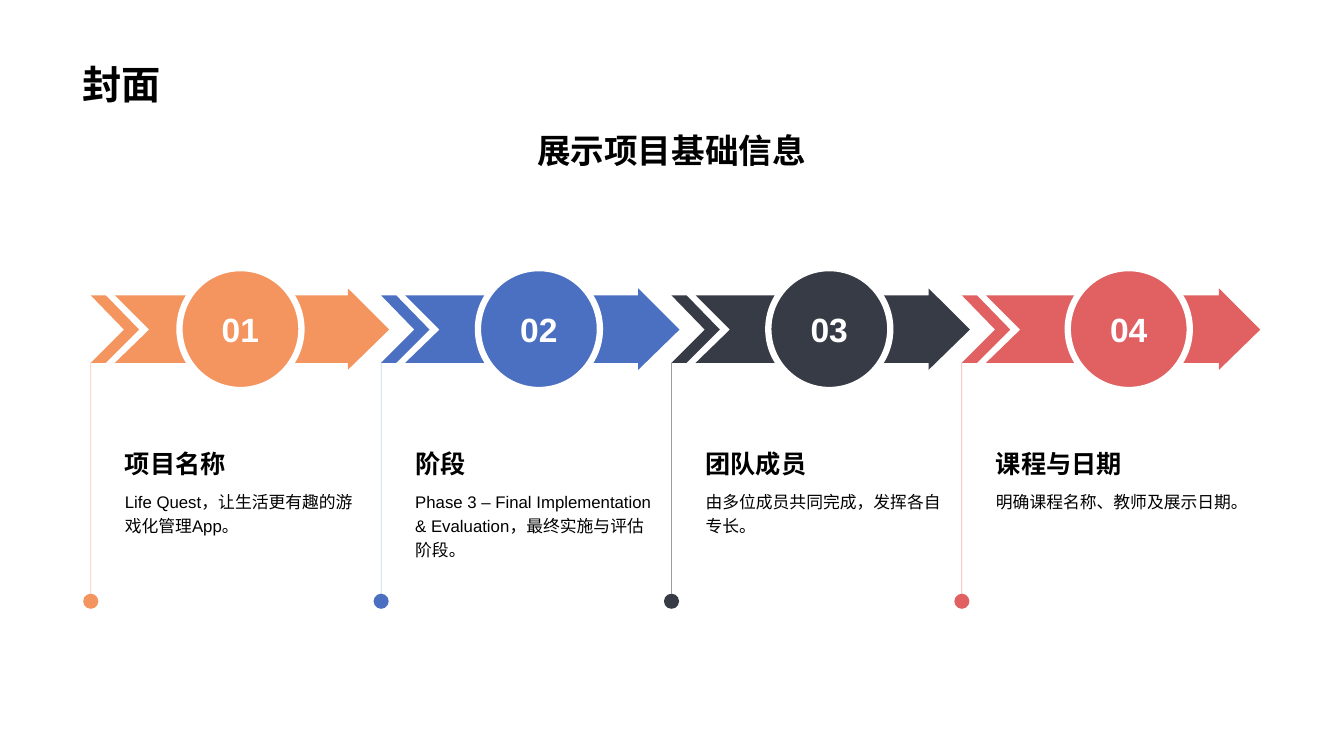
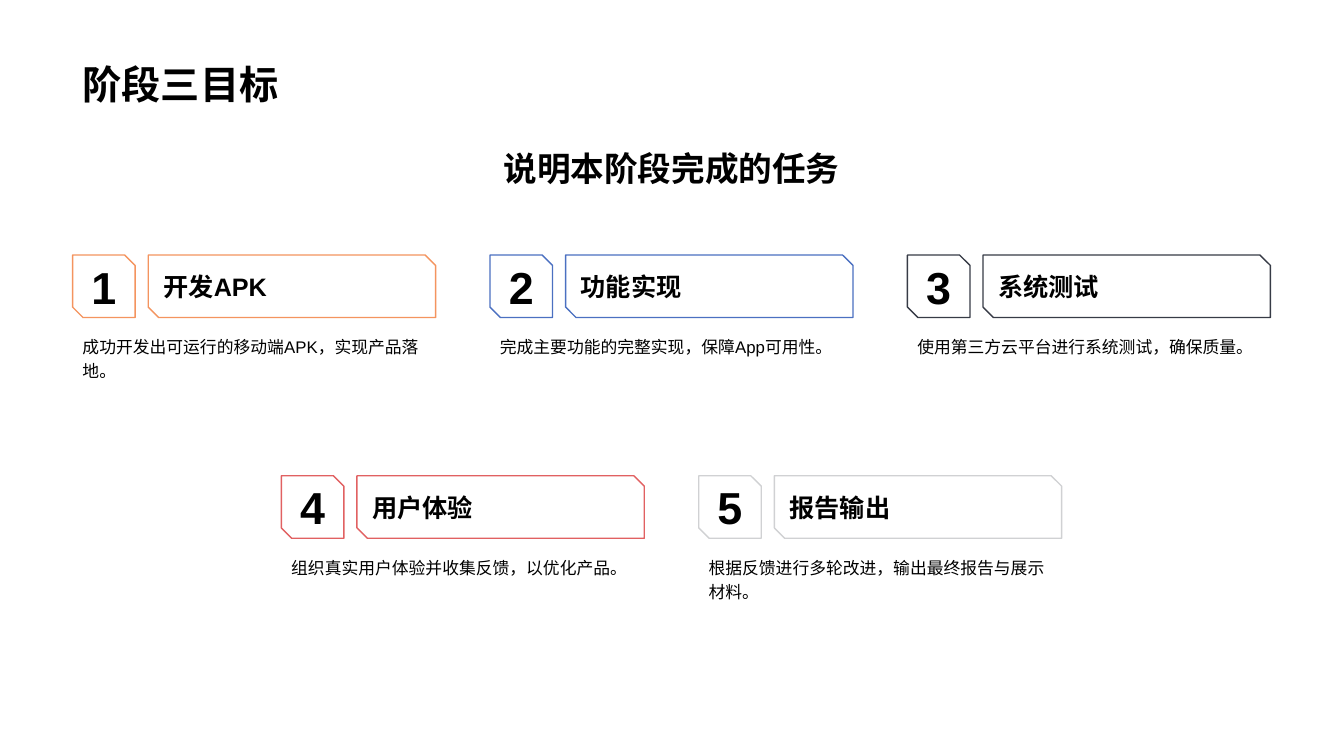
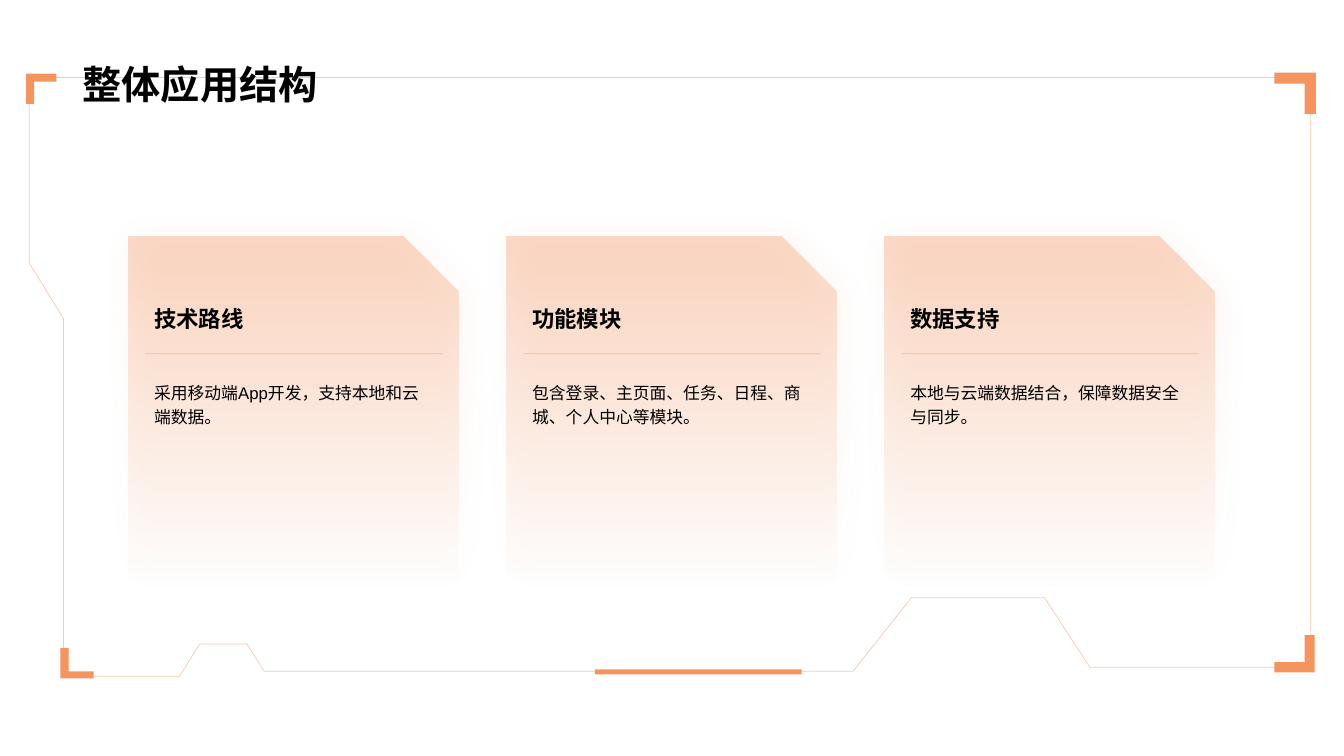
import pptx
import pptx.dml.color
import pptx.enum.shapes
import pptx.enum.text
import pptx.oxml.ns
import pptx.util
from lxml import etree

Inches = pptx.util.Inches
Pt = pptx.util.Pt
qn = pptx.oxml.ns.qn
SHAPE = pptx.enum.shapes.MSO_SHAPE
STRAIGHT = pptx.enum.shapes.MSO_CONNECTOR.STRAIGHT
ALIGN = pptx.enum.text.PP_ALIGN
ANCHOR = pptx.enum.text.MSO_ANCHOR

# Shared look
FONT = "Arial"
BLACK, WHITE = "000000", "FFFFFF"
ORANGE, BLUE, DARK, RED, GREY = "F4945F", "4B70C1", "373B46", "E16162", "D0D1D3"
LEFT, CONTENT_WIDTH = 0.72, 11.88


def style(shape, fill=None, line=None, width=1, line_alpha=100):
    """Set fill and line from hex strings; return the empty effect list."""
    if hasattr(shape, "fill"):
        if fill:
            shape.fill.solid()
            shape.fill.fore_color.rgb = pptx.dml.color.RGBColor.from_string(fill)
        else:
            shape.fill.background()
    if line:
        shape.line.color.rgb = pptx.dml.color.RGBColor.from_string(line)
        shape.line.width = Pt(width)
        if line_alpha < 100:
            color = shape._element.spPr.find(qn("a:ln")).find(".//" + qn("a:srgbClr"))
            etree.SubElement(color, qn("a:alpha"), val=str(line_alpha * 1000))
    else:
        shape.line.fill.background()
    return etree.SubElement(shape._element.spPr, qn("a:effectLst"))


def write(shape, text, size, bold=True, color=BLACK, align=ALIGN.LEFT,
          anchor=ANCHOR.TOP, spacing=None, wrap=True):
    """Fill a shape with one formatted paragraph."""
    frame = shape.text_frame
    frame.text = text
    frame.word_wrap = wrap
    frame.auto_size = pptx.enum.text.MSO_AUTO_SIZE.NONE
    frame.vertical_anchor = anchor
    paragraph = frame.paragraphs[0]
    paragraph.alignment = align
    paragraph.line_spacing = spacing
    paragraph.font.name = FONT
    paragraph.font.size = Pt(size)
    paragraph.font.bold = bold
    paragraph.font.color.rgb = pptx.dml.color.RGBColor.from_string(color)


presentation = pptx.Presentation()
presentation.slide_width = Inches(13.33)
presentation.slide_height = Inches(7.5)

# Slides with their titles
slides = []
for title_text in ["封面", "阶段三目标", "整体应用结构"]:
    slide = presentation.slides.add_slide(presentation.slide_layouts[5])
    title = slide.shapes.title
    title.left, title.top = Inches(LEFT), Inches(0.14)
    title.width, title.height = Inches(CONTENT_WIDTH), Inches(0.98)
    write(title, title_text, 28, anchor=ANCHOR.BOTTOM)
    slides.append(slide)
cover, goals, structure = slides

# Centred subtitles
for slide, text, height, anchor in [
    (cover, "展示项目基础信息", 0.76, ANCHOR.TOP),
    (goals, "说明本阶段完成的任务", 0.85, ANCHOR.MIDDLE),
]:
    subtitle = slide.shapes.add_textbox(
        Inches(LEFT), Inches(1.24), Inches(CONTENT_WIDTH), Inches(height))
    write(subtitle, text, 24, align=ALIGN.CENTER, anchor=anchor)

# Slide 1: row of arrows, each with a number, a stem and a text
steps = [
    (ORANGE, 1.78, "项目名称", "Life Quest，让生活更有趣的游戏化管理App。"),
    (BLUE, 4.74, "阶段", "Phase 3 – Final Implementation & Evaluation，最终实施与评估阶段。"),
    (DARK, 7.62, "团队成员", "由多位成员共同完成，发挥各自专长。"),
    (RED, 10.59, "课程与日期", "明确课程名称、教师及展示日期。"),
]
chevron = [(0, 2.93), (0.15, 2.93), (0.48, 3.27), (0.15, 3.6), (0, 3.6), (0.33, 3.27)]
arrow_body = [(2.55, 2.86), (2.96, 3.27), (2.55, 3.67), (2.55, 3.6),
              (0.24, 3.6), (0.58, 3.27), (0.24, 2.93), (2.55, 2.93)]
DOT = 0.15
for index, (color, circle_left, heading, detail) in enumerate(steps):
    left = 0.9 + index * 2.88
    chevron_points, body_points = [
        [(Inches(left + x), Inches(y)) for x, y in outline]
        for outline in (chevron, arrow_body)]
    builder = cover.shapes.build_freeform(*chevron_points[0])
    builder.add_line_segments(chevron_points[1:])
    builder.move_to(*body_points[0])
    builder.add_line_segments(body_points[1:])
    style(builder.convert_to_shape(), color)

    dot = cover.shapes.add_shape(
        SHAPE.OVAL, Inches(left - DOT / 2), Inches(5.89), Inches(DOT), Inches(DOT))
    style(dot, color)
    stem = cover.shapes.add_connector(
        STRAIGHT, Inches(left), Inches(3.6), Inches(left), Inches(5.89))
    stem.end_connect(dot, 0)
    style(stem, line=color, width=0.5, line_alpha=50)

    heading_box = cover.shapes.add_textbox(
        Inches(left + 0.24), Inches(4.13), Inches(2.56), Inches(0.67))
    write(heading_box, heading, 18, anchor=ANCHOR.BOTTOM)
    detail_box = cover.shapes.add_textbox(
        Inches(left + 0.24), Inches(4.79), Inches(2.56), Inches(1.25))
    write(detail_box, detail, 12, bold=False, spacing=1.2)

    circle = cover.shapes.add_shape(
        SHAPE.OVAL, Inches(circle_left), Inches(2.66), Inches(1.21), Inches(1.21))
    style(circle, color, WHITE, 4.5)
    write(circle, f"{index + 1:02d}", 24, color=WHITE, align=ALIGN.CENTER,
          anchor=ANCHOR.MIDDLE, wrap=False)

# Slide 2: numbered goals, three above two
goal_items = [
    (ORANGE, "开发APK", "成功开发出可运行的移动端APK，实现产品落地。"),
    (BLUE, "功能实现", "完成主要功能的完整实现，保障App可用性。"),
    (DARK, "系统测试", "使用第三方云平台进行系统测试，确保质量。"),
    (RED, "用户体验", "组织真实用户体验并收集反馈，以优化产品。"),
    (GREY, "报告输出", "根据反馈进行多轮改进，输出最终报告与展示材料。"),
]
GOAL_PITCH = 4.14
for index, (color, heading, detail) in enumerate(goal_items):
    row, column = divmod(index, 3)
    left = LEFT + (column + row / 2) * GOAL_PITCH
    top = 2.53 + row * 2.19
    for offset, width, text, size, align in [
        (0.75, 2.85, heading, 18, ALIGN.LEFT),
        (0, 0.62, str(index + 1), 32, ALIGN.CENTER),
    ]:
        box = goals.shapes.add_shape(
            SHAPE.SNIP_2_DIAG_RECTANGLE,
            Inches(left + offset), Inches(top), Inches(width), Inches(0.62))
        style(box, line=color)
        write(box, text, size, align=align, anchor=ANCHOR.MIDDLE)
    detail_box = goals.shapes.add_textbox(
        Inches(left), Inches(top + 0.72), Inches(3.6), Inches(1.26))
    write(detail_box, detail, 12, bold=False, spacing=1.2)

# Slide 3: thin frame, corner brackets and bottom bar
frame_outline = [
    (0.63, 6.71), (0.63, 3.16), (0.29, 2.61), (0.29, 0.77), (13, 0.77), (13, 6.62),
    (10.81, 6.62), (10.36, 5.93), (9.04, 5.93), (8.46, 6.66), (2.62, 6.66),
    (2.45, 6.39), (1.98, 6.39), (1.78, 6.71)]
brackets = [
    [(0.56, 0.73), (0.26, 0.73), (0.26, 1.03), (0.34, 1.03), (0.34, 0.81), (0.56, 0.81)],
    [(12.64, 0.72), (13.05, 0.72), (13.05, 1.13), (12.94, 1.13), (12.94, 0.83), (12.64, 0.83)],
    [(0.93, 6.73), (0.6, 6.73), (0.6, 6.43), (0.68, 6.43), (0.68, 6.66), (0.93, 6.66)],
    [(12.64, 6.67), (13.04, 6.67), (13.04, 6.3), (12.94, 6.3), (12.94, 6.57), (12.64, 6.57)],
]
for outline in [frame_outline] + brackets:
    points = [(Inches(x), Inches(y)) for x, y in outline]
    builder = structure.shapes.build_freeform(*points[0])
    builder.add_line_segments(points[1:])
    shape = builder.convert_to_shape()
    if outline is frame_outline:
        style(shape, line=ORANGE, width=0.5, line_alpha=50)
    else:
        style(shape, ORANGE)
bottom_bar = structure.shapes.add_shape(
    SHAPE.RECTANGLE, Inches(5.9), Inches(6.64), Inches(2.05), Inches(0.05))
style(bottom_bar, ORANGE)

# The title stands in front of the frame
structure.shapes._spTree.append(structure.shapes.title._element)

# Slide 3: fading cards
cards = [
    ("技术路线", "采用移动端App开发，支持本地和云端数据。"),
    ("功能模块", "包含登录、主页面、任务、日程、商城、个人中心等模块。"),
    ("数据支持", "本地与云端数据结合，保障数据安全与同步。"),
]
for index, (heading, detail) in enumerate(cards):
    left = 1.27 + index * 3.75
    card = structure.shapes.add_shape(
        SHAPE.SNIP_1_RECTANGLE, Inches(left), Inches(2.35), Inches(3.28), Inches(3.47))
    effects = style(card)
    card.fill.gradient()
    card.fill.gradient_angle = 90
    for stop, position, alpha in zip(card.fill.gradient_stops, (0, 1), (0, 34)):
        stop.position = position
        stop.color.rgb = pptx.dml.color.RGBColor.from_string(ORANGE)
        color = card._element.spPr.findall(".//" + qn("a:srgbClr"))[position]
        etree.SubElement(color, qn("a:alpha"), val=str(alpha * 1000))
    shadow = etree.SubElement(
        effects, qn("a:outerShdw"), blurRad=str(Pt(21)), dist=str(Pt(4)),
        dir=str(40 * 60000), algn="tl", rotWithShape="0")
    shadow_color = etree.SubElement(shadow, qn("a:srgbClr"), val=ORANGE)
    etree.SubElement(shadow_color, qn("a:alpha"), val="29000")

    heading_box = structure.shapes.add_textbox(
        Inches(left + 0.16), Inches(2.63), Inches(2.97), Inches(0.71))
    write(heading_box, heading, 16, anchor=ANCHOR.BOTTOM)
    detail_box = structure.shapes.add_textbox(
        Inches(left + 0.16), Inches(3.71), Inches(2.97), Inches(1.91))
    write(detail_box, detail, 12, bold=False, spacing=1.2)
    divider = structure.shapes.add_connector(
        STRAIGHT, Inches(left + 0.17), Inches(3.51), Inches(left + 3.12), Inches(3.51))
    style(divider, line=ORANGE, width=0.5, line_alpha=50)

presentation.save("out.pptx")
